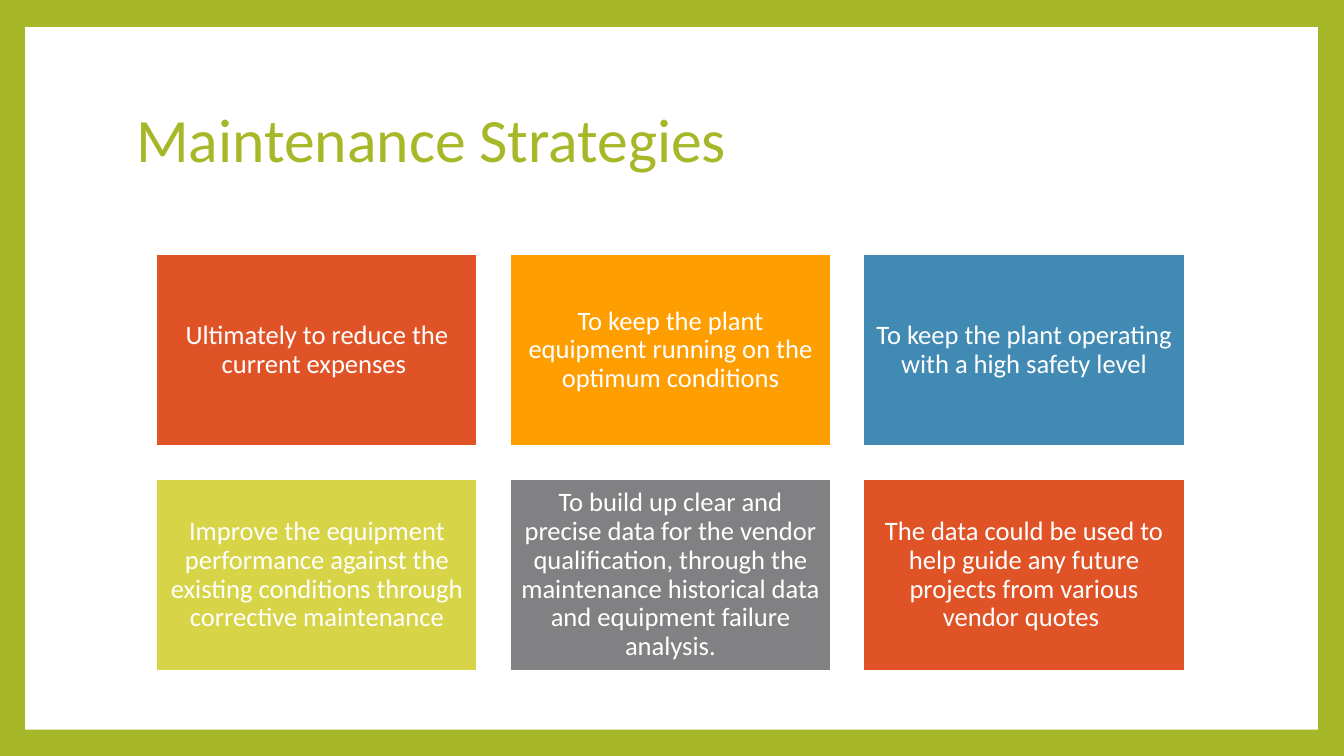
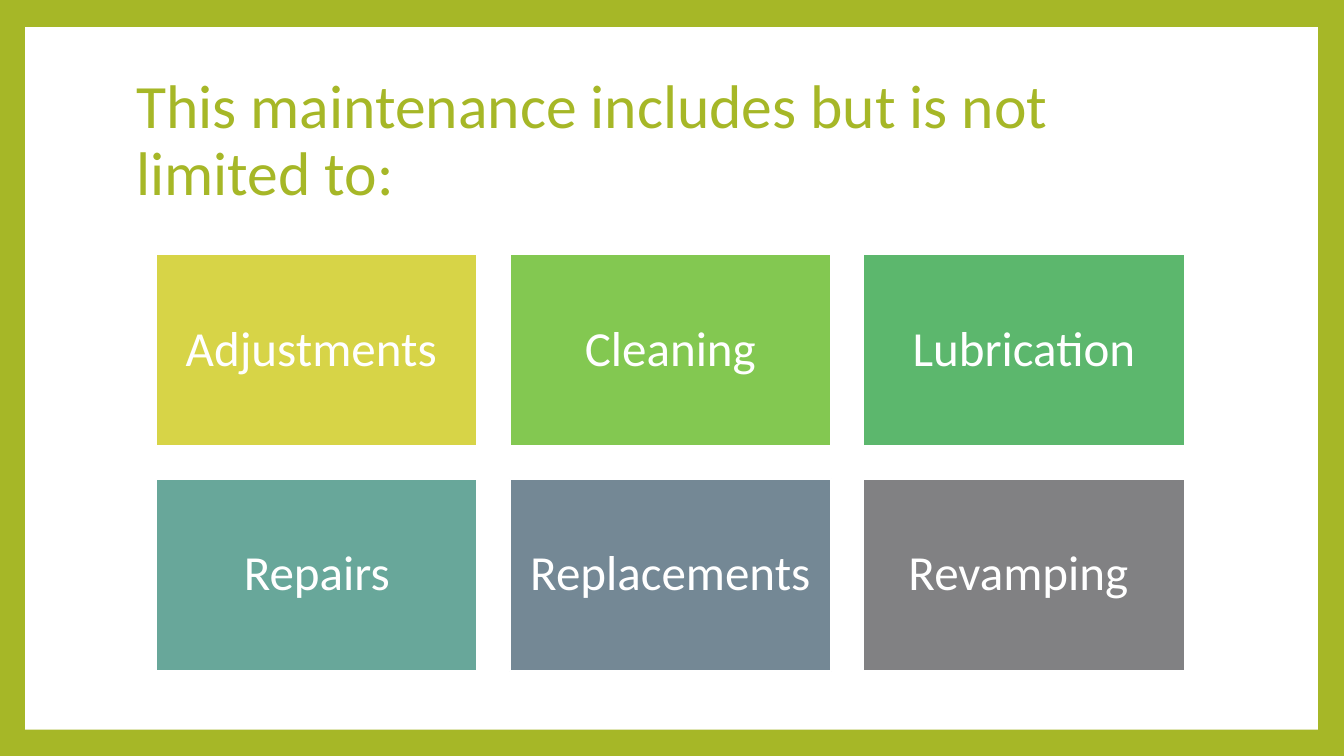
from dataclasses import dataclass

from pptx import Presentation
from pptx.dml.color import RGBColor
from pptx.enum import shapes, text
from pptx.util import Inches, Pt


@dataclass(frozen=True)
class Theme:
    font: str = "Calibri"
    lime: str = "A6B727"
    white: str = "FFFFFF"
    red: str = "DF5327"
    orange: str = "FE9E00"
    blue: str = "418AB3"
    yellow: str = "D7D447"
    gray: str = "818183"
    green: str = "83C851"
    emerald: str = "5CB76D"
    teal: str = "68A79A"
    slate: str = "748895"
    title_size: float = 44
    sentence_size: float = 19
    word_size: float = 35
    line_spacing: float = 0.9
    tile_border: float = 1.5


THEME = Theme()
SLIDE_SIZE = (13.33, 7.5)
PANEL_BOX = (0.25, 0.27, 12.82, 6.97)
TITLE_BOX = (1.25, 0.67, 10.8, 1.48)
GRID_BOX = (1.55, 2.52, 10.2, 4.14)
GRID_COLUMNS, GRID_ROWS = 3, 2
GRID_GAP = 0.32

STRATEGIES = [
    ("Ultimately to reduce the current expenses ", THEME.red),
    ("To keep the plant equipment running on the optimum conditions", THEME.orange),
    ("To keep the plant operating with a high safety level", THEME.blue),
    ("Improve the equipment performance against the existing conditions "
     "through corrective maintenance", THEME.yellow),
    ("To build up clear and precise data for the vendor qualification, through "
     "the maintenance historical data and equipment failure analysis.", THEME.gray),
    ("The data could be used to help guide any future projects from various "
     "vendor quotes ", THEME.red),
]
ACTIVITIES = [
    ("Adjustments ", THEME.yellow),
    ("Cleaning", THEME.green),
    ("Lubrication", THEME.emerald),
    ("Repairs", THEME.teal),
    ("Replacements ", THEME.slate),
    ("Revamping ", THEME.gray),
]


def color(value):
    return RGBColor.from_string(value)


def write_text(shape, content, *, size, font_color, align, inset=0.1):
    frame = shape.text_frame
    frame.word_wrap = True
    frame.auto_size = text.MSO_AUTO_SIZE.NONE
    frame.vertical_anchor = text.MSO_ANCHOR.MIDDLE
    frame.margin_left = frame.margin_right = Inches(inset)
    frame.margin_top = frame.margin_bottom = Inches(min(inset, 0.15))
    paragraph = frame.paragraphs[0]
    paragraph.alignment = align
    paragraph.line_spacing = THEME.line_spacing
    run = paragraph.add_run()
    run.text = content
    run.font.name = THEME.font
    run.font.size = Pt(size)
    run.font.color.rgb = color(font_color)


def add_rectangle(slide, box, fill, border=None):
    shape = slide.shapes.add_shape(shapes.MSO_SHAPE.RECTANGLE, *map(Inches, box))
    shape.shadow.inherit = False
    shape.fill.solid()
    shape.fill.fore_color.rgb = color(fill)
    if border:
        shape.line.color.rgb = color(border)
        shape.line.width = Pt(THEME.tile_border)
    else:
        shape.line.fill.background()
    return shape


def add_framed_slide(presentation, title):
    layout = presentation.slide_layouts.get_by_name("Title Only")
    slide = presentation.slides.add_slide(layout)
    background = slide.background.fill
    background.solid()
    background.fore_color.rgb = color(THEME.lime)
    panel = add_rectangle(slide, PANEL_BOX, THEME.white)
    heading = slide.shapes.title
    heading._element.addprevious(panel._element)
    heading.left, heading.top, heading.width, heading.height = map(Inches, TITLE_BOX)
    write_text(heading, title, size=THEME.title_size, font_color=THEME.lime,
               align=text.PP_ALIGN.LEFT)
    return slide


def add_tile_grid(slide, box, tiles, *, size, inset):
    left, top, width, height = box
    tile_width = (width - GRID_GAP * (GRID_COLUMNS - 1)) / GRID_COLUMNS
    tile_height = (height - GRID_GAP * (GRID_ROWS - 1)) / GRID_ROWS
    for index, (label, fill) in enumerate(tiles):
        row, column = divmod(index, GRID_COLUMNS)
        tile_box = (left + column * (tile_width + GRID_GAP),
                    top + row * (tile_height + GRID_GAP),
                    tile_width, tile_height)
        tile = add_rectangle(slide, tile_box, fill, border=THEME.white)
        write_text(tile, label, size=size, font_color=THEME.white,
                   align=text.PP_ALIGN.CENTER, inset=inset)


def main():
    presentation = Presentation()
    presentation.slide_width, presentation.slide_height = map(Inches, SLIDE_SIZE)
    strategies = add_framed_slide(presentation, "Maintenance Strategies")
    add_tile_grid(strategies, GRID_BOX, STRATEGIES,
                  size=THEME.sentence_size, inset=0.08)
    activities = add_framed_slide(
        presentation, "This maintenance includes but is not limited to:")
    add_tile_grid(activities, GRID_BOX, ACTIVITIES,
                  size=THEME.word_size, inset=0.15)
    presentation.save("out.pptx")


if __name__ == "__main__":
    main()
